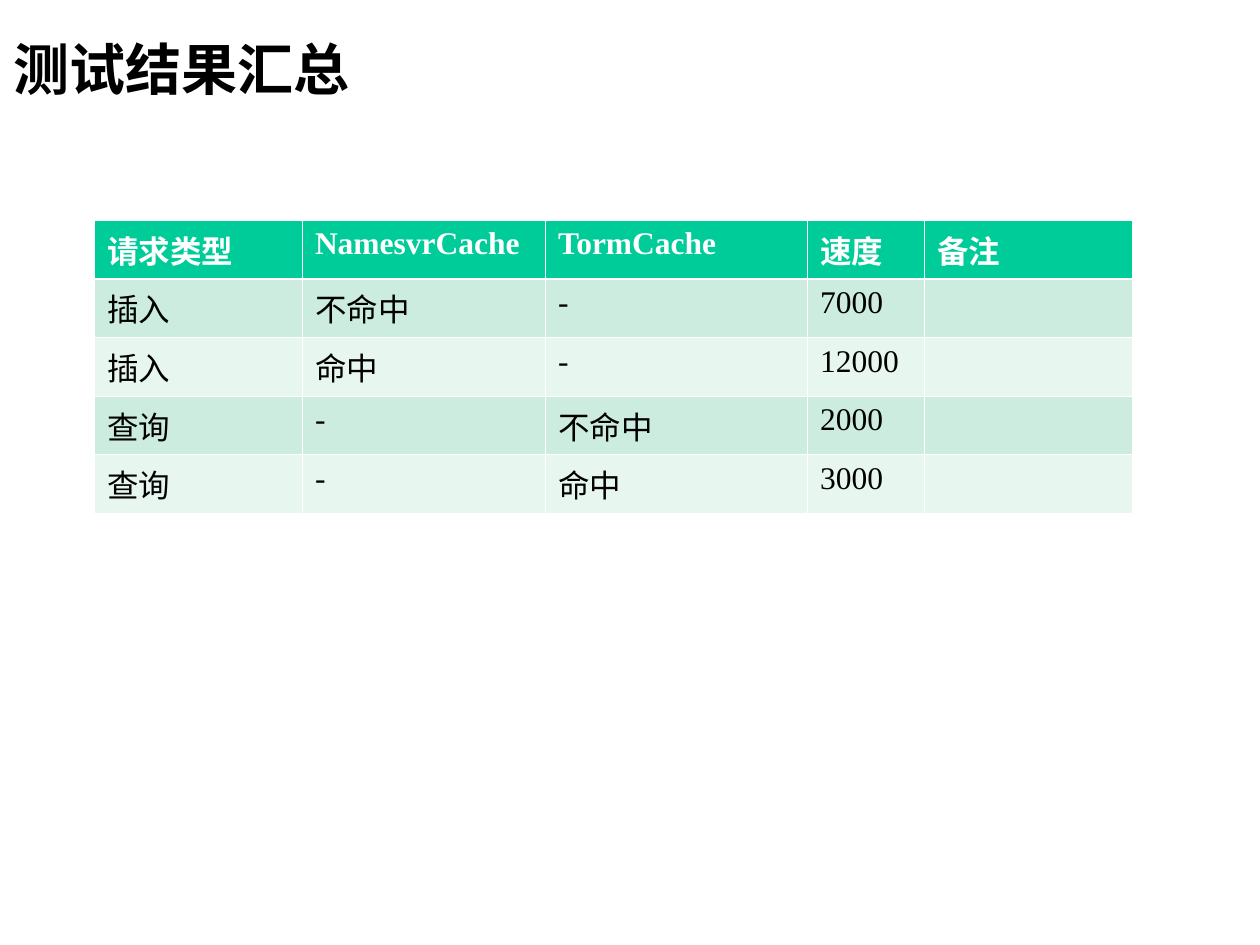
from lxml import etree
from pptx import Presentation
from pptx.dml.color import RGBColor
from pptx.enum.text import MSO_ANCHOR
from pptx.oxml.ns import qn
from pptx.util import Inches, Pt

MIDDLE = MSO_ANCHOR.MIDDLE
BLANK_LAYOUT = 6
FONT = "Times New Roman"

BLACK = RGBColor(0x00, 0x00, 0x00)
WHITE = RGBColor(0xFF, 0xFF, 0xFF)
HEADER_GREEN = RGBColor(0x00, 0xCC, 0x99)
BANDS = (RGBColor(0xCB, 0xEC, 0xDE), RGBColor(0xE7, 0xF6, 0xEF))

TITLE_FORMAT = {"name": FONT, "size": Pt(32), "bold": True}
HEADER_FORMAT = {"name": FONT, "size": Pt(18), "bold": True}
BODY_FORMAT = {"name": FONT, "size": Pt(18), "bold": False}

THIN, THICK = Pt(0.45), Pt(1.47)
COLUMN_WIDTHS = (1.65, 1.93, 2.08, 0.93, 1.65)
ROW_HEIGHT = 0.465
RESULTS = (
    ("请求类型", "NamesvrCache", "TormCache", "速度", "备注"),
    ("插入", "不命中", "-", "7000", ""),
    ("插入", "命中", "-", "12000", ""),
    ("查询", "-", "不命中", "2000", ""),
    ("查询", "-", "命中", "3000", ""),
)


def write(frame, text, font_format, color):
    paragraph = frame.paragraphs[0]
    # An empty cell keeps the row's font on its paragraph.
    target = paragraph.add_run() if text else paragraph
    if text:
        target.text = text
    for attribute, value in font_format.items():
        setattr(target.font, attribute, value)
    target.font.color.rgb = color


def add_title(slide, text):
    box = slide.shapes.add_textbox(Inches(0.01), Inches(0.08), Inches(6.57), Inches(0.92))
    frame = box.text_frame
    frame.word_wrap = True
    frame.vertical_anchor = MIDDLE
    write(frame, text, TITLE_FORMAT, BLACK)


def set_borders(cell, widths):
    """Draw white borders; widths maps L, R, T, B in that order."""
    properties = cell._tc.get_or_add_tcPr()
    for position, (side, width) in enumerate(widths.items()):
        line = etree.Element(qn(f"a:ln{side}"), w=str(int(width)))
        fill = etree.SubElement(line, qn("a:solidFill"))
        etree.SubElement(fill, qn("a:srgbClr"), val=str(WHITE))
        properties.insert(position, line)


def add_results_table(slide, results):
    table = slide.shapes.add_table(
        len(results), len(COLUMN_WIDTHS), Inches(0.75), Inches(1.75),
        Inches(sum(COLUMN_WIDTHS)), Inches(ROW_HEIGHT * len(results)),
    ).table
    for column, width in zip(table.columns, COLUMN_WIDTHS):
        column.width = Inches(width)
    for row_index, values in enumerate(results):
        is_header = row_index == 0
        fill = HEADER_GREEN if is_header else BANDS[(row_index - 1) % 2]
        font_format = HEADER_FORMAT if is_header else BODY_FORMAT
        borders = {
            "L": THIN,
            "R": THIN,
            "T": THICK if row_index == 1 else THIN,
            "B": THICK if is_header else THIN,
        }
        for cell, value in zip(table.rows[row_index].cells, values):
            cell.fill.solid()
            cell.fill.fore_color.rgb = fill
            set_borders(cell, borders)
            write(cell.text_frame, value, font_format, WHITE if is_header else BLACK)


def main():
    presentation = Presentation()
    presentation.slide_width = Inches(10)
    presentation.slide_height = Inches(7.5)
    slide = presentation.slides.add_slide(presentation.slide_layouts[BLANK_LAYOUT])
    add_title(slide, "测试结果汇总")
    add_results_table(slide, RESULTS)
    presentation.save("out.pptx")


if __name__ == "__main__":
    main()
